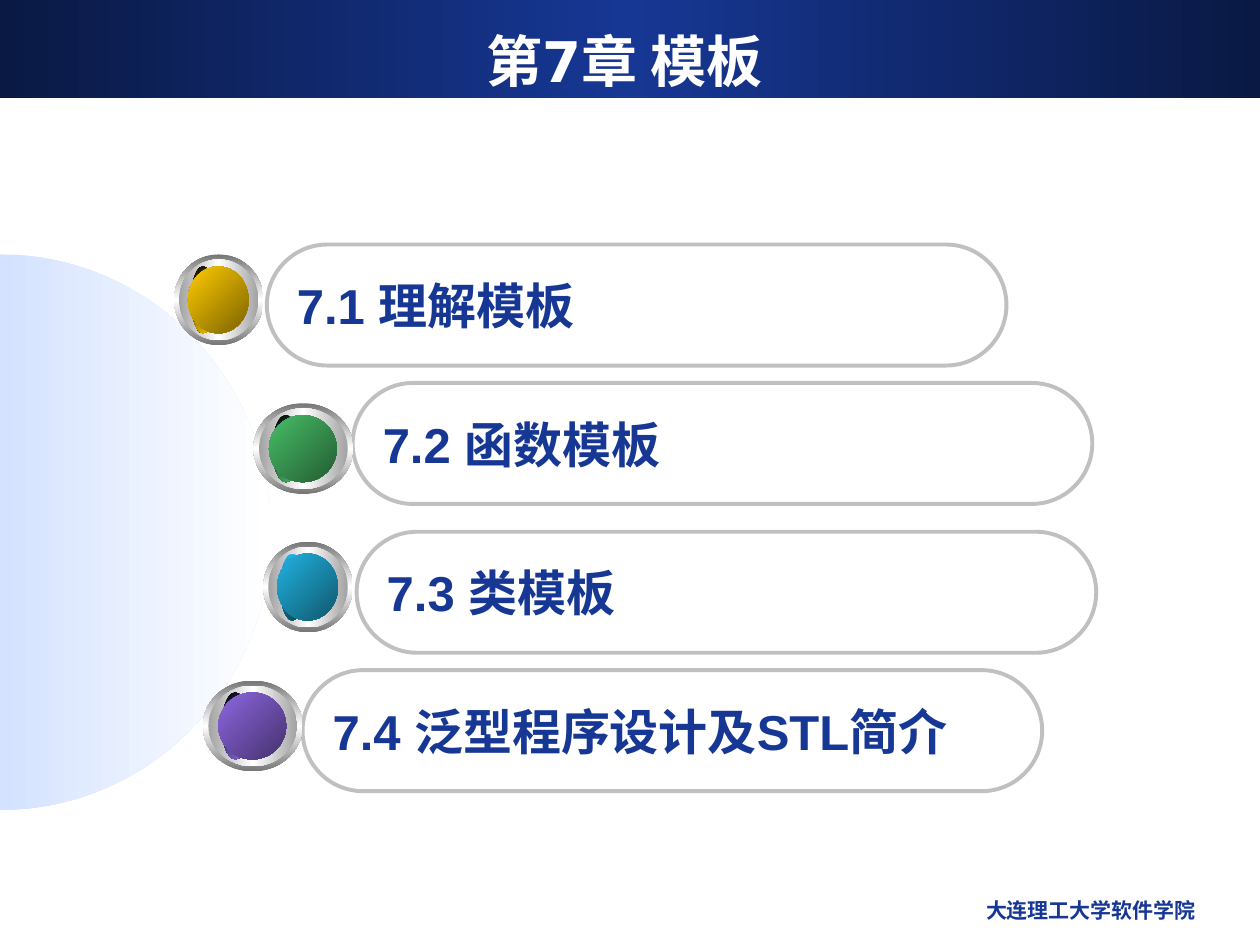
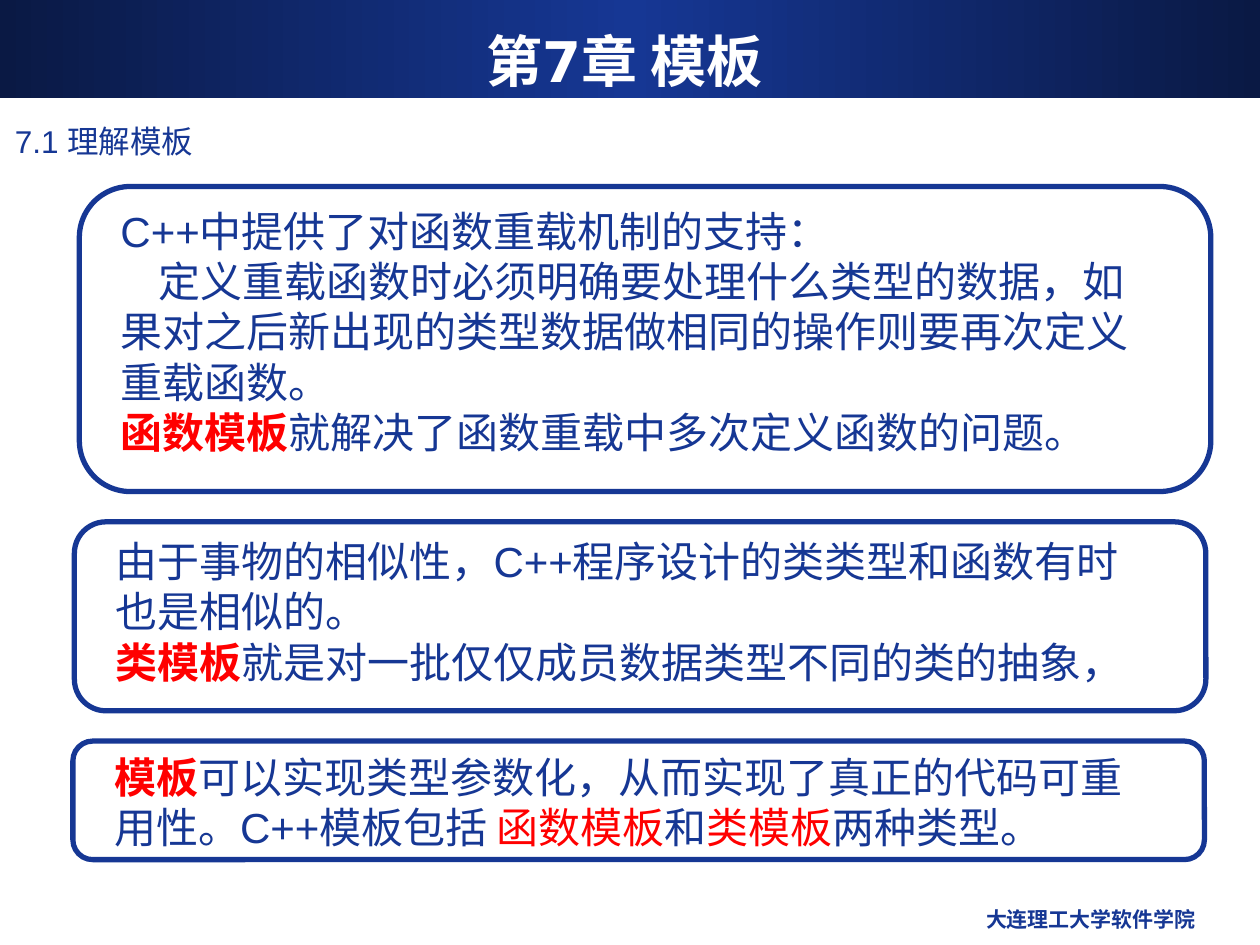
import math
from dataclasses import dataclass
from typing import Any, NamedTuple

from lxml import etree
from pptx import Presentation
from pptx import util as u
from pptx.dml import color as dml
from pptx.enum import shapes, text
from pptx.oxml import ns

NAVY = "163794"
DEEP_NAVY = "0A1944"
SKY = "6699FF"
SLATE = "37538A"
RED = "FF0000"
WHITE = "FFFFFF"
SILVER = "C0C0C0"
CHAPTER = "第7章 模板"
SCHOOL = "大连理工大学软件学院"
SLIDE_WIDTH = 25.4
PILL_SIZE = (14.91, 2.44)
KNOB_HEIGHT = 1.83
PANEL_WIDTH = 22.81

TITLE_FONT = {"name": "DejaVu Sans", "size": u.Pt(32), "bold": True}
FOOTER_FONT = {"name": "Arial", "size": u.Pt(12), "bold": True}
HEADING_FONT = {"name": "Arial", "size": u.Pt(18), "bold": False}
PILL_FONT = {"name": "Arial", "size": u.Pt(28), "bold": True}
BODY_FONT = {"name": "Arial", "size": u.Pt(24), "bold": False}


class Box(NamedTuple):
    left: float
    top: float
    width: float
    height: float

    def lengths(self) -> list[u.Length]:
        return [u.Cm(value) for value in self]


class Run(NamedTuple):
    words: str
    colour: str = NAVY
    bold: bool | None = None


class Line(NamedTuple):
    runs: list[Run]
    indent: float = 0


class Layer(NamedTuple):
    left: float
    top: float
    width: float
    height: float
    colours: list[str]
    angle: int


@dataclass
class Section:
    words: str
    pill_left: float
    pill_top: float
    knob_left: float
    knob_top: float
    knob_width: float
    sliver: list[str]
    sliver_angle: int
    ball: list[str]


@dataclass
class Panel:
    left: float
    top: float
    height: float
    text_offset: float
    text_height: float
    lines: list[Line]


SECTIONS = [
    Section("7.1 理解模板", 5.38, 4.93, 3.51, 5.13, 1.8,
            ["000000", "FFCC00"], 45, ["FFCC00", "7C6300"]),
    Section("7.2 函数模板", 7.11, 7.72, 5.11, 8.13, 2.01,
            ["000000", "48BE67"], 45, ["48BE67", "235C32"]),
    Section("7.3 类模板", 7.19, 10.72, 5.31, 10.92, 1.8,
            ["21B3E1", "0F5368"], 90, ["21B3E1", "10576D"]),
    Section("7.4 泛型程序设计及STL简介", 6.1, 13.51, 4.09, 13.72, 2.01,
            ["000000", "8D67E1"], 45, ["8D67E1", "45326D"]),
]

PANELS = [
    Panel(1.6, 3.76, 6.15, 0.25, 5.33, [
        Line([Run("C++中提供了对函数重载机制的支持：")]),
        Line([Run("定义重载函数时必须明确要处理什么类型的数据，"
                  "如果对之后新出现的类型数据做相同的操作则要再次定义重载函数。")], 0.76),
        Line([Run("函数模板", RED, True),
              Run("就解决了函数重载中多次定义函数的问题。")]),
    ]),
    Panel(1.5, 10.52, 3.81, 0.15, 3.3, [
        Line([Run("由于事物的相似性，C++程序设计的类类型和函数有时也是相似的。")]),
        Line([Run("类模板", RED, True),
              Run("就是对一批仅仅成员数据类型不同的类的抽象，")]),
    ]),
    Panel(1.47, 14.94, 2.39, 0.08, 2.29, [
        Line([Run("模板", RED, True),
              Run("可以实现类型参数化，从而实现了真正的代码可重用性。C++模板包括 "),
              Run("函数模板", RED), Run("和"), Run("类模板", RED),
              Run("两种类型。")]),
    ]),
]


def rgb(value: str) -> dml.RGBColor:
    return dml.RGBColor.from_string(value)


def apply_format(target: Any, values: dict[str, Any]) -> None:
    for name, value in values.items():
        setattr(target, name, value)


def fill_gradient(shape: Any, colours: list[str], angle: int) -> None:
    shape.shadow.inherit = False
    shape.line.fill.background()
    shape.fill.gradient()
    gradient = shape._element.spPr.find(ns.qn("a:gradFill"))
    stops = gradient.find(ns.qn("a:gsLst"))
    for stop in list(stops):
        stops.remove(stop)
    for index, value in enumerate(colours):
        position = 100000 * index // (len(colours) - 1)
        stop = etree.SubElement(stops, ns.qn("a:gs"), pos=str(position))
        etree.SubElement(stop, ns.qn("a:srgbClr"), val=str(rgb(value)))
    gradient.find(ns.qn("a:lin")).set("ang", str(angle * 60000))


def write_lines(shape: Any, lines: list[Line], font: dict[str, Any],
                align: text.PP_ALIGN = text.PP_ALIGN.LEFT,
                anchor: text.MSO_ANCHOR = text.MSO_ANCHOR.TOP) -> None:
    frame = shape.text_frame
    apply_format(frame, {"word_wrap": True, "vertical_anchor": anchor})
    for index, line in enumerate(lines):
        paragraph = frame.add_paragraph() if index else frame.paragraphs[0]
        paragraph.alignment = align
        if line.indent:
            paragraph._p.get_or_add_pPr().set("indent", str(u.Cm(line.indent)))
        for part in line.runs:
            run = paragraph.add_run()
            run.text = part.words
            apply_format(run.font, font)
            if part.bold is not None:
                run.font.bold = part.bold
            run.font.color.rgb = rgb(part.colour)


def add_label(slide: Any, box: Box, run: Run, font: dict[str, Any],
              align: text.PP_ALIGN = text.PP_ALIGN.LEFT,
              anchor: text.MSO_ANCHOR = text.MSO_ANCHOR.TOP) -> None:
    shape = slide.shapes.add_textbox(*box.lengths())
    write_lines(shape, [Line([run])], font, align, anchor)


def add_outline(container: Any, box: Box, roundness: float,
                colour: str, weight: float) -> Any:
    shape = container.add_shape(shapes.MSO_SHAPE.ROUNDED_RECTANGLE, *box.lengths())
    shape.adjustments[0] = roundness
    shape.shadow.inherit = False
    shape.fill.background()
    shape.line.color.rgb = rgb(colour)
    shape.line.width = u.Pt(weight)
    return shape


def add_chapter_slide(presentation: Any, footer_top: float) -> Any:
    slide = presentation.slides.add_slide(presentation.slide_layouts[6])
    band = slide.shapes.add_shape(shapes.MSO_SHAPE.RECTANGLE,
                                  *Box(0, 0, SLIDE_WIDTH, 1.98).lengths())
    fill_gradient(band, [DEEP_NAVY, NAVY, DEEP_NAVY], 0)
    add_label(slide, Box(0.84, 0.43, 23.5, 1.57), Run(CHAPTER, WHITE), TITLE_FONT,
              text.PP_ALIGN.CENTER, text.MSO_ANCHOR.MIDDLE)
    add_label(slide, Box(16.31, footer_top, 8.05, 0.89), Run(SCHOOL), FOOTER_FONT,
              text.PP_ALIGN.RIGHT)
    return slide


def add_half_disc(slide: Any, middle: float, across: float, down: float) -> None:
    steps = 90
    angles = [math.pi * step / steps - math.pi / 2 for step in range(steps + 1)]
    points = [(u.Cm(across * math.cos(angle)), u.Cm(middle + down * math.sin(angle)))
              for angle in angles]
    builder = slide.shapes.build_freeform(*points[0])
    builder.add_line_segments(points[1:], close=True)
    fill_gradient(builder.convert_to_shape(), ["D4E2FF", WHITE], 0)


def add_knob(slide: Any, section: Section) -> None:
    sliver = (0.19, 0.24, 0.27, 1.35)
    ball = (0.155, 0.24, 0.68, 1.35)
    layers = [
        Layer(0, 0, 1, KNOB_HEIGHT, ["767676", WHITE, "767676"], 90),
        Layer(0.055, 0.1, 0.89, 1.63, ["A2A2A2", WHITE, "A2A2A2"], 0),
        Layer(*sliver, [WHITE, SKY, WHITE], 45),
        Layer(*sliver, section.sliver, section.sliver_angle),
        Layer(*ball, [SLATE, SKY, SLATE], 315),
        Layer(*ball, section.ball, 45),
    ]
    group = slide.shapes.add_group_shape()
    for layer in layers:
        box = Box(section.knob_left + layer.left * section.knob_width,
                  section.knob_top + layer.top,
                  layer.width * section.knob_width, layer.height)
        shape = group.shapes.add_shape(shapes.MSO_SHAPE.OVAL, *box.lengths())
        fill_gradient(shape, layer.colours, layer.angle)


def add_panel(slide: Any, panel: Panel) -> None:
    group = slide.shapes.add_group_shape()
    add_outline(group.shapes, Box(panel.left, panel.top, PANEL_WIDTH, panel.height),
                0.167, NAVY, 3)
    box = Box(panel.left + 0.58, panel.top + panel.text_offset, 21.23, panel.text_height)
    write_lines(group.shapes.add_textbox(*box.lengths()), panel.lines, BODY_FONT)


def build_contents(presentation: Any) -> None:
    slide = add_chapter_slide(presentation, 17.96)
    add_half_disc(slide, 10.73, 5.46, 5.6)
    for section in SECTIONS:
        pill = add_outline(slide.shapes,
                           Box(section.pill_left, section.pill_top, *PILL_SIZE),
                           0.5, SILVER, 2.25)
        write_lines(pill, [Line([Run(section.words)])], PILL_FONT,
                    anchor=text.MSO_ANCHOR.MIDDLE)
    for section in SECTIONS:
        add_knob(slide, section)


def build_understanding(presentation: Any) -> None:
    slide = add_chapter_slide(presentation, 18.16)
    add_label(slide, Box(0.05, 2.34, 23.5, 1.04), Run(SECTIONS[0].words), HEADING_FONT)
    for panel in PANELS:
        add_panel(slide, panel)


def main() -> None:
    presentation = Presentation()
    presentation.slide_width = u.Cm(SLIDE_WIDTH)
    presentation.slide_height = u.Cm(19.05)
    build_contents(presentation)
    build_understanding(presentation)
    presentation.save("out.pptx")


if __name__ == "__main__":
    main()
